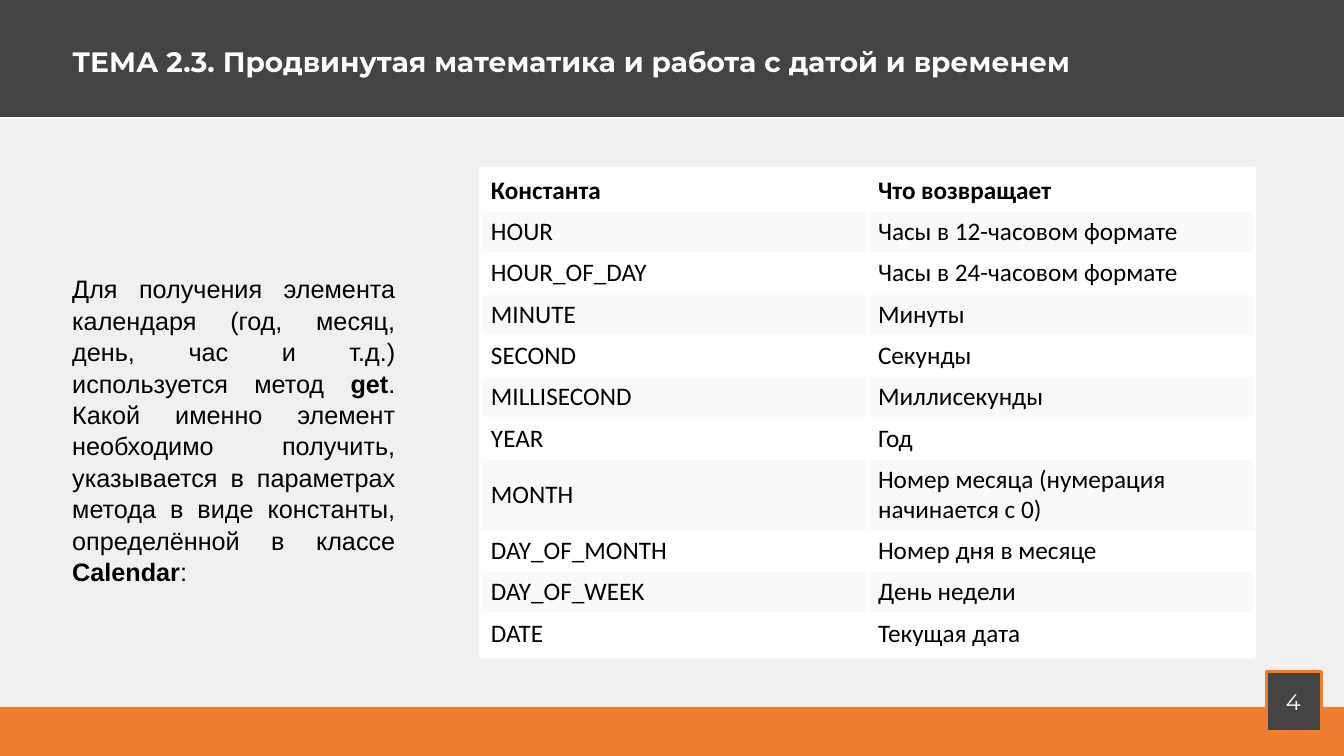
import pptx
import pptx.dml.color
import pptx.enum.shapes
import pptx.enum.text
import pptx.oxml.ns
import pptx.util
from lxml import etree

Pt = pptx.util.Pt
ALIGN = pptx.enum.text.PP_ALIGN
ANCHOR = pptx.enum.text.MSO_ANCHOR

WIDTH, HEIGHT = 960, 540
DARK, ORANGE, WHITE, BLACK, STRIPE = "444444", "ED7D31", "FFFFFF", "000000", "F9F9F9"
ROW_HEIGHT, TALL_ROW_HEIGHT = 29.5, 51

TITLE = "ТЕМА 2.3. Продвинутая математика и работа с датой и временем"
INTRO = [
    ("Для получения элемента календаря (год, месяц, день, час и т.д.) используется метод ", False),
    ("get", True),
    (". Какой именно элемент необходимо получить, указывается в параметрах метода "
     "в виде константы, определённой в классе ", False),
    ("Calendar", True),
    (":", False),
]
CONSTANTS = [
    ("Константа", "Что возвращает"),
    ("HOUR", "Часы в 12-часовом формате"),
    ("HOUR_OF_DAY", "Часы в 24-часовом формате"),
    ("MINUTE", "Минуты"),
    ("SECOND", "Секунды"),
    ("MILLISECOND", "Миллисекунды"),
    ("YEAR", "Год"),
    ("MONTH", "Номер месяца (нумерация начинается с 0)"),
    ("DAY_OF_MONTH", "Номер дня в месяце"),
    ("DAY_OF_WEEK", "День недели"),
    ("DATE", "Текущая дата"),
]


def color(value):
    return pptx.dml.color.RGBColor.from_string(value)


def add_rect(page, left, top, width, height, fill, line=None, opacity=None):
    box = page.shapes.add_shape(pptx.enum.shapes.MSO_SHAPE.RECTANGLE,
                                Pt(left), Pt(top), Pt(width), Pt(height))
    box.shadow.inherit = False
    box.fill.solid()
    box.fill.fore_color.rgb = color(fill)
    if line:
        box.line.color.rgb = color(line)
        box.line.width = Pt(2.25)
    else:
        box.line.fill.background()
    if opacity is not None:
        tint = box.element.spPr.find(".//" + pptx.oxml.ns.qn("a:srgbClr"))
        etree.SubElement(tint, pptx.oxml.ns.qn("a:alpha"), val=str(opacity * 1000))
    return box


def write(frame, text, size=18, font="Calibri", fill=BLACK, bold=False,
          align=ALIGN.LEFT, spacing=1.0, after=0):
    """Fill the first paragraph; text is a string or a list of (words, bold)."""
    para = frame.paragraphs[0]
    para.alignment = align
    para.line_spacing = spacing
    para.space_before = Pt(0)
    para.space_after = Pt(after)
    for words, heavy in [(text, bold)] if isinstance(text, str) else text:
        span = para.add_run()
        span.text = words
        span.font.size = Pt(size)
        span.font.name = font
        span.font.bold = heavy
        span.font.color.rgb = color(fill)


def add_text(page, left, top, width, height, text, **text_format):
    box = page.shapes.add_textbox(Pt(left), Pt(top), Pt(width), Pt(height))
    box.text_frame.word_wrap = True
    write(box.text_frame, text, **text_format)


def place_title(page, band, left, top, width, height, text, **text_format):
    title = page.shapes.title
    title.left, title.top, title.width, title.height = map(Pt, (left, top, width, height))
    frame = title.text_frame
    frame.word_wrap = True
    frame.auto_size = pptx.enum.text.MSO_AUTO_SIZE.NONE
    frame.vertical_anchor = ANCHOR.TOP
    write(frame, text, **text_format)
    band.element.addnext(title.element)


def add_constants(page, left, top, width):
    heights = [TALL_ROW_HEIGHT if name == "MONTH" else ROW_HEIGHT for name, _ in CONSTANTS]
    table = page.shapes.add_table(len(CONSTANTS), 2, Pt(left), Pt(top),
                                  Pt(width), Pt(sum(heights))).table
    table.first_row = table.horz_banding = False
    for column in table.columns:
        column.width = Pt(width / 2)
    for index, (height, texts) in enumerate(zip(heights, CONSTANTS)):
        table.rows[index].height = Pt(height)
        for cell, text in zip(table.rows[index].cells, texts):
            cell.fill.solid()
            cell.fill.fore_color.rgb = color(STRIPE if index % 2 else WHITE)
            cell.vertical_anchor = ANCHOR.MIDDLE
            write(cell.text_frame, text, bold=index == 0)


def main():
    deck = pptx.Presentation()
    deck.slide_width, deck.slide_height = Pt(WIDTH), Pt(HEIGHT)
    page = deck.slides.add_slide(deck.slide_layouts.get_by_name("Title Only"))

    # Background and footer
    add_rect(page, 0, 85, WIDTH, 420, DARK, opacity=8)
    add_rect(page, 0, 505, WIDTH, 35, ORANGE)
    add_rect(page, 904.5, 479.5, 39.5, 43, DARK, line=ORANGE)
    add_text(page, 911.5, 487.5, 22.5, 26.5, "4", size=16, font="Montserrat",
             fill=WHITE, spacing=1.01, after=8)

    # Header
    band = add_rect(page, 0, 0, WIDTH, 83.5, DARK)
    place_title(page, band, 44.5, 26.5, 832.5, 33, TITLE, size=20, font="Montserrat",
                fill=WHITE, bold=True, spacing=1.07, after=8)

    # Explanation and table of constants
    add_rect(page, 342.5, 119, 554, 351.5, WHITE)
    add_text(page, 44.5, 191, 245, 225.5, INTRO, font="Arial",
             align=ALIGN.JUSTIFY, spacing=1.04)
    add_constants(page, 343.5, 121.5, 553)

    deck.save("out.pptx")


if __name__ == "__main__":
    main()
